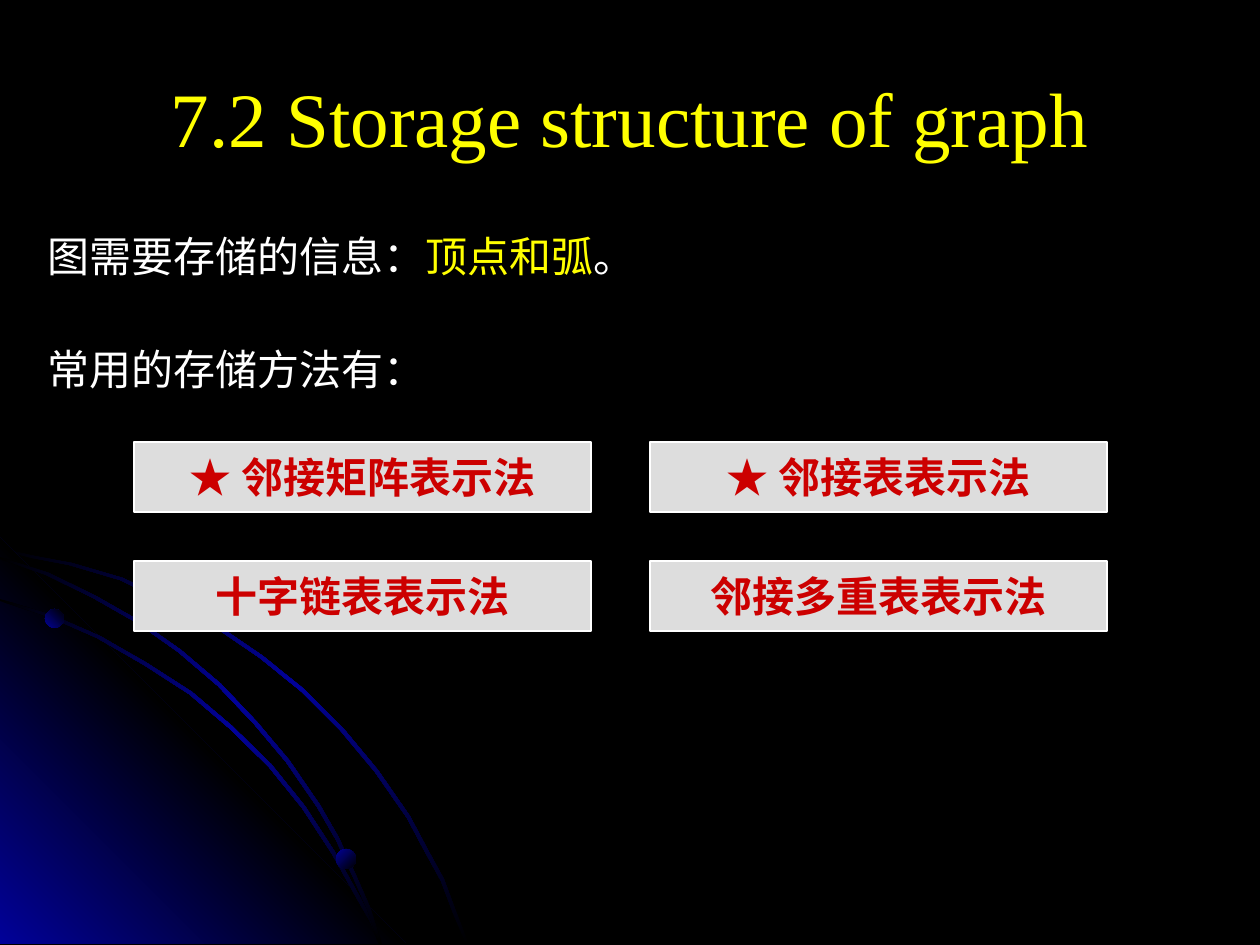
from lxml import etree
from pptx import Presentation
from pptx import util as u
from pptx.dml.color import RGBColor
from pptx.enum import shapes, text
from pptx.oxml.ns import qn

SCALE = 914400 / 126
COLORS = {
    "black": "000000",
    "blue": "010199",
    "white": "FFFFFF",
    "yellow": "FFFF00",
    "grey": "DDDDDD",
    "red": "CC0000",
}


def add_text(para, words, size=24, font="Times New Roman", color="white", bold=False):
    span = para.add_run()
    span.text = words
    span.font.size = u.Pt(size)
    span.font.name = font
    span.font.bold = bold
    span.font.color.rgb = RGBColor.from_string(COLORS[color])


def shade(shape, names, angle):
    shape.shadow.inherit = False
    shape.line.fill.background()
    shape.fill.gradient()
    shape.fill.gradient_angle = 360 - angle
    stops = shape._element.spPr.find(qn("a:gradFill")).find(qn("a:gsLst"))
    for stop in list(stops):
        stops.remove(stop)
    for index, name in enumerate(names):
        stop = etree.SubElement(stops, qn("a:gs"), pos=str(index * 100000 // (len(names) - 1)))
        etree.SubElement(stop, qn("a:srgbClr"), val=COLORS[name])


deck = Presentation()
deck.slide_width = u.Inches(10)
deck.slide_height = u.Inches(7.5)
page = deck.slides.add_slide(deck.slide_layouts[1])
page.background.fill.solid()
page.background.fill.fore_color.rgb = RGBColor.from_string(COLORS["black"])

outer_arc = [
    (0, 548), (35, 556), (72, 563), (123, 578), (171, 601), (219, 626), (263, 656), (305, 690),
    (343, 728), (378, 770), (410, 816), (427, 848), (444, 879), (456, 911), (469, 944),
]
inner_arc = [
    (0, 599), (52, 615), (100, 636), (147, 663), (192, 692), (232, 726),
    (271, 764), (305, 806), (335, 852), (360, 897), (373, 920), (382, 944),
]
middle_arc = [
    (0, 557), (49, 573), (96, 596), (140, 621), (181, 650), (221, 684), (257, 722),
    (289, 760), (320, 805), (339, 838), (355, 873), (370, 907), (382, 944),
]
arc_outlines = [
    arc + [(max(x - 3, 0), min(y + 2, 944)) for x, y in reversed(arc)]
    for arc in (outer_arc, inner_arc, middle_arc)
]
corner = [(0, 538), (406, 944), (0, 944)]
arc_shades = ["black", "blue", "black"]
corner_shades = ["blue", "black", "blue"]
for outline, names, angle in [
    (arc_outlines[0], arc_shades, 45),
    (corner, corner_shades, 315),
    (arc_outlines[1], arc_shades, 45),
    (arc_outlines[2], arc_shades, 45),
]:
    builder = page.shapes.build_freeform(*outline[0], scale=SCALE)
    builder.add_line_segments(outline[1:], close=True)
    shade(builder.convert_to_shape(), names, angle)

for left, top, size, angle in [(45, 609, 19, 315), (336, 849, 20, 45)]:
    place = [u.Emu(round(n * SCALE)) for n in (left, top, size, size)]
    dot = page.shapes.add_shape(shapes.MSO_SHAPE.OVAL, *place)
    shade(dot, ["blue", "black"], angle)

title = page.shapes.title
body = page.placeholders[1]
for box, place, anchor in [
    (title, (63, 38, 1134, 158), text.MSO_ANCHOR.MIDDLE),
    (body, (35, 224, 1173, 178), text.MSO_ANCHOR.TOP),
]:
    box.left, box.top, box.width, box.height = [u.Emu(round(n * SCALE)) for n in place]
    box.text_frame.word_wrap = True
    box.text_frame.auto_size = text.MSO_AUTO_SIZE.NONE
    box.text_frame.vertical_anchor = anchor

para = title.text_frame.paragraphs[0]
para.alignment = text.PP_ALIGN.CENTER
add_text(para, "7.2 Storage structure of graph", size=44, color="yellow")

stored = body.text_frame.paragraphs[0]
methods = body.text_frame.add_paragraph()
for para, before in [(stored, 0), (methods, 24)]:
    properties = para._p.get_or_add_pPr()
    properties.set("marL", "0")
    properties.set("indent", "0")
    etree.SubElement(properties, qn("a:buNone"))
    para.space_before = u.Pt(before)
    para.space_after = u.Pt(12)
add_text(stored, "图需要存储的信息：")
add_text(stored, "顶点和弧", color="yellow")
add_text(stored, "。", font="Noto Sans CJK SC")
add_text(methods, "常用的存储方法有：", font="Noto Sans CJK SC")

labels = ["★ 邻接矩阵表示法", "★ 邻接表表示法", "十字链表表示法", "邻接多重表表示法"]
for index, label in enumerate(labels):
    row, column = divmod(index, 2)
    place = [u.Emu(round(n * SCALE)) for n in (134 + 516 * column, 442 + 119 * row, 457, 70)]
    box = page.shapes.add_shape(shapes.MSO_SHAPE.RECTANGLE, *place)
    box.shadow.inherit = False
    box.fill.solid()
    box.fill.fore_color.rgb = RGBColor.from_string(COLORS["grey"])
    box.line.color.rgb = RGBColor.from_string(COLORS["white"])
    box.line.width = u.Pt(0.75)
    box.text_frame.word_wrap = False
    box.text_frame.vertical_anchor = text.MSO_ANCHOR.MIDDLE
    para = box.text_frame.paragraphs[0]
    para.alignment = text.PP_ALIGN.CENTER
    add_text(para, label, font="Arial", color="red", bold=True)

deck.save("out.pptx")
